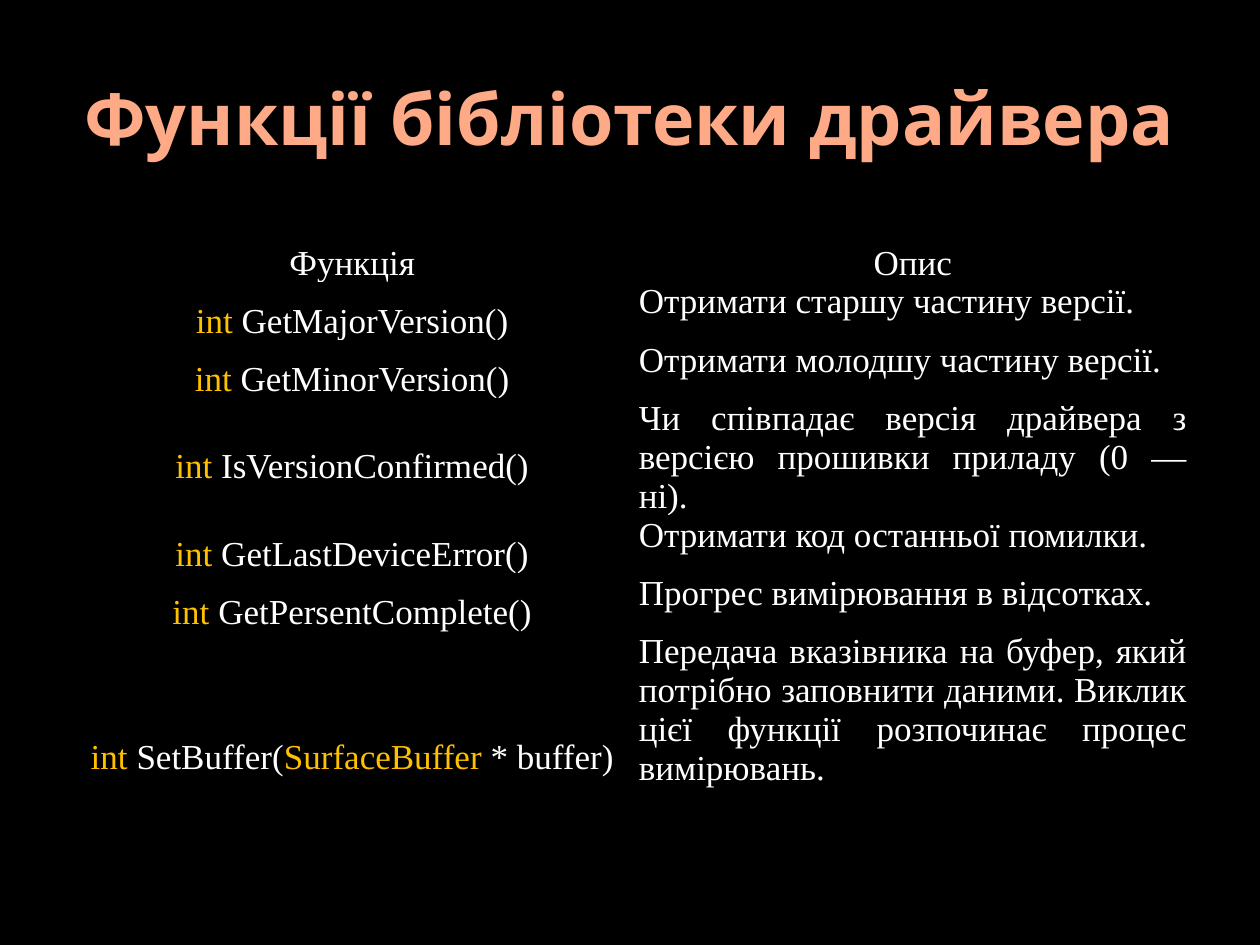
from lxml.etree import SubElement
from pptx import Presentation
from pptx.dml.color import RGBColor
from pptx.enum.text import MSO_ANCHOR, PP_ALIGN
from pptx.oxml.ns import qn
from pptx.util import Inches, Pt

BLACK = RGBColor(0, 0, 0)
WHITE = RGBColor(255, 255, 255)
GOLD = RGBColor(0xFF, 0xC0, 0x00)
PEACH = RGBColor(0xFF, 0xAA, 0x86)
TYPES = ("int ", "SurfaceBuffer")

ROWS = [
    (0.46, ["Функція"], "Опис"),
    (0.46, ["int ", "GetMajorVersion()"], "Отримати старшу частину версії."),
    (0.46, ["int ", "GetMinorVersion()"], "Отримати молодшу частину версії."),
    (0.92, ["int ", "IsVersionConfirmed()"],
     "Чи співпадає версія драйвера з версією прошивки приладу (0 — ні)."),
    (0.46, ["int ", "GetLastDeviceError()"], "Отримати код останньої помилки."),
    (0.46, ["int ", "GetPersentComplete()"], "Прогрес вимірювання в відсотках."),
    (1.83, ["int ", "SetBuffer(", "SurfaceBuffer", " * buffer)"],
     "Передача вказівника на буфер, який потрібно заповнити даними. "
     "Виклик цієї функції розпочинає процес вимірювань."),
]


def fill_cell(cell, parts, centred):
    """Write the parts into a cell, with type names in gold."""
    cell.margin_left = cell.margin_right = Inches(0.07)
    cell.margin_top = cell.margin_bottom = 0
    cell.vertical_anchor = MSO_ANCHOR.MIDDLE if centred else MSO_ANCHOR.TOP
    para = cell.text_frame.paragraphs[0]
    para.alignment = PP_ALIGN.CENTER if centred else PP_ALIGN.JUSTIFY
    if centred:
        para.line_spacing = 1.5
    for part in parts:
        run = para.add_run()
        run.text = part
        run.font.name = "Times New Roman"
        run.font.size = Pt(20)
        run.font.color.rgb = GOLD if part in TYPES else WHITE
    props = cell._tc.get_or_add_tcPr()
    for side in ("a:lnL", "a:lnR", "a:lnT", "a:lnB"):
        line = SubElement(props, qn(side), w=str(Pt(1)))
        solid = SubElement(line, qn("a:solidFill"))
        SubElement(solid, qn("a:srgbClr"), val=str(BLACK))
    cell.fill.background()


deck = Presentation()
deck.slide_width = Inches(10)
deck.slide_height = Inches(7.5)
slide = deck.slides.add_slide(deck.slide_layouts[5])
slide.background.fill.solid()
slide.background.fill.fore_color.rgb = BLACK

title = slide.shapes.title
title.left, title.top = Inches(0.5), Inches(0.3)
title.width, title.height = Inches(9), Inches(1.25)
frame = title.text_frame
frame.text = "Функції бібліотеки драйвера"
frame.vertical_anchor = MSO_ANCHOR.MIDDLE
frame.paragraphs[0].alignment = PP_ALIGN.CENTER
font = frame.paragraphs[0].runs[0].font
font.name = "Open Sans"
font.size = Pt(41)
font.bold = True
font.color.rgb = PEACH

table = slide.shapes.add_table(
    len(ROWS), 2, Inches(0.59), Inches(1.78), Inches(8.9), Inches(5.05)).table
table.first_row = table.horz_banding = False
table.columns[0].width = Inches(4.41)
table.columns[1].width = Inches(4.49)
for i, (height, parts, about) in enumerate(ROWS):
    table.rows[i].height = Inches(height)
    fill_cell(table.cell(i, 0), parts, True)
    fill_cell(table.cell(i, 1), [about], i == 0)

deck.save("out.pptx")
